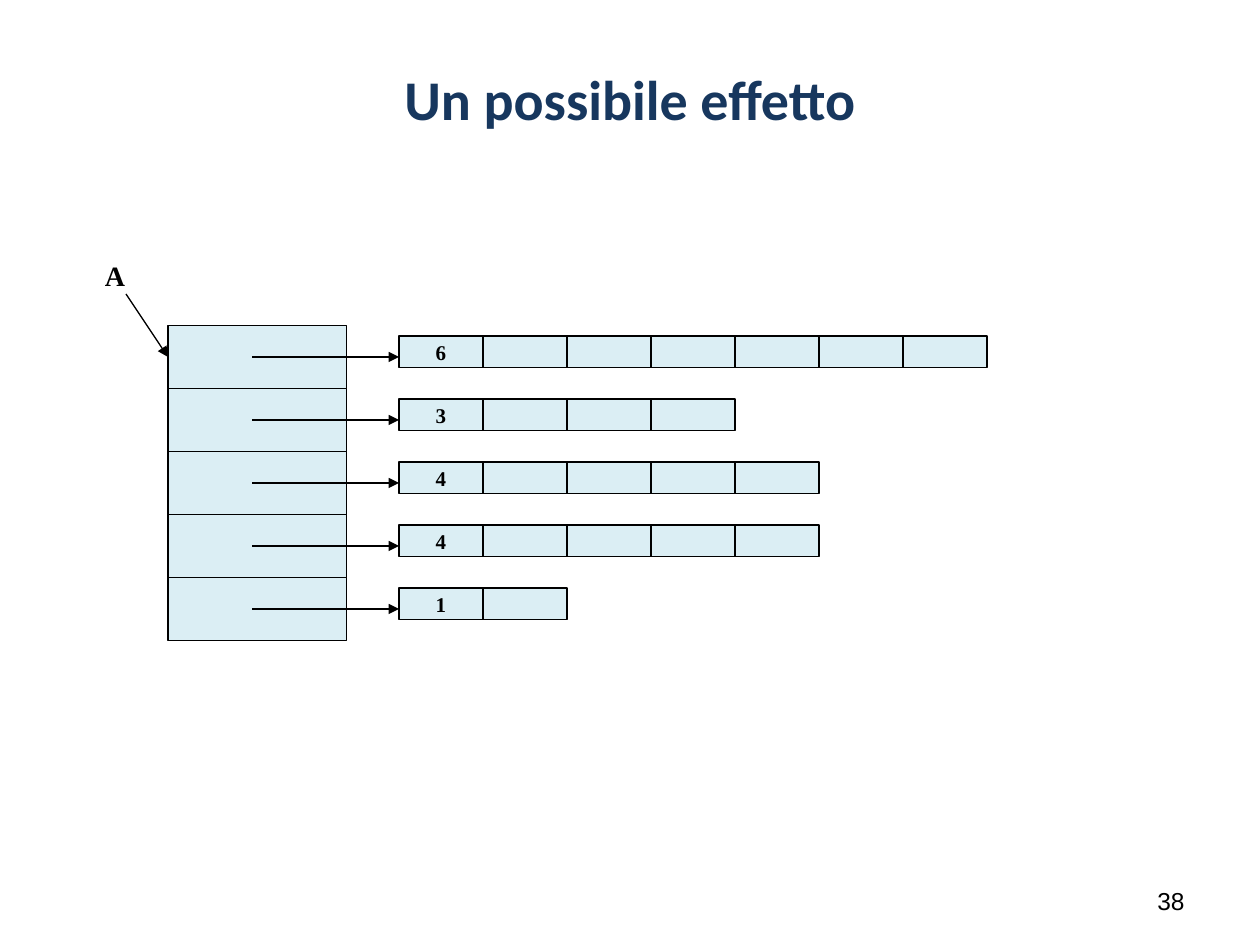
from lxml import etree
from pptx import Presentation
from pptx import util as u
from pptx.dml.color import RGBColor
from pptx.enum import shapes, text
from pptx.oxml.ns import qn

PX = 7620  # 120 px to the inch
BLACK, PALE, NAVY = "000000", "DBEEF4", "17375E"
SERIF = "Times New Roman"


def rgb(hex_color):
    return RGBColor.from_string(hex_color)


def write(sp, words, font, size, color, bold, align, anchor, wrap):
    tf = sp.text_frame
    tf.word_wrap = wrap
    tf.vertical_anchor = anchor
    p = tf.paragraphs[0]
    p.alignment = align
    r = p.add_run()
    r.text = words
    r.font.name, r.font.size, r.font.bold = font, u.Pt(size), bold
    r.font.color.rgb = rgb(color)


prs = Presentation()
prs.slide_width, prs.slide_height = 1200 * PX, 900 * PX
s = prs.slides.add_slide(prs.slide_layouts[5])
left, center, right = text.PP_ALIGN.LEFT, text.PP_ALIGN.CENTER, text.PP_ALIGN.RIGHT
top, middle = text.MSO_ANCHOR.TOP, text.MSO_ANCHOR.MIDDLE

# Title
title = s.shapes.title
title.left, title.top, title.width, title.height = 60 * PX, 36 * PX, 1080 * PX, 114 * PX
write(title, "Un possibile effetto", "Calibri", 32, NAVY, True, center, middle, True)

# Pointer array on the left, one counted row of cells for each entry
counts = [6, 3, 4, 4, 1]
pitch = 60
boxes = []  # x, y, width, height, label
arrows = [(120, 280, 160, 340)]  # from A to the array
for i, count in enumerate(counts):
    y = 310 + i * pitch
    boxes.append((160, y, 170, pitch, ""))
    for j in range(count + 1):
        boxes.append((380 + j * 80, y + 10, 80, 30, "" if j else str(count)))
    arrows.append((240, y + 30, 380, y + 30))

for x, y, w, h, label in boxes:
    sp = s.shapes.add_shape(shapes.MSO_SHAPE.RECTANGLE, x * PX, y * PX, w * PX, h * PX)
    sp.shadow.inherit = False
    sp.fill.solid()
    sp.fill.fore_color.rgb = rgb(PALE)
    sp.line.color.rgb = rgb(BLACK)
    sp.line.width = u.Pt(0.75)
    if label:
        write(sp, label, SERIF, 12, BLACK, True, center, middle, False)

# Arrows
for x1, y1, x2, y2 in arrows:
    line = s.shapes.add_connector(
        shapes.MSO_CONNECTOR.STRAIGHT, x1 * PX, y1 * PX, x2 * PX, y2 * PX)
    line.line.color.rgb = rgb(BLACK)
    line.line.width = u.Pt(0.75)
    etree.SubElement(line.line._get_or_add_ln(), qn("a:tailEnd"), type="triangle")
    etree.SubElement(line._element.spPr, qn("a:effectLst"))

# Array name
name = s.shapes.add_textbox(88 * PX, 240 * PX, 43 * PX, 44 * PX)
write(name, "A", SERIF, 16, BLACK, True, left, top, False)
name.text_frame.auto_size = text.MSO_AUTO_SIZE.SHAPE_TO_FIT_TEXT

# Page number
number = s.shapes.add_textbox(860 * PX, 834 * PX, 280 * PX, 48 * PX)
write(number, "38", "Arial", 14, BLACK, False, right, middle, True)

prs.save("out.pptx")
